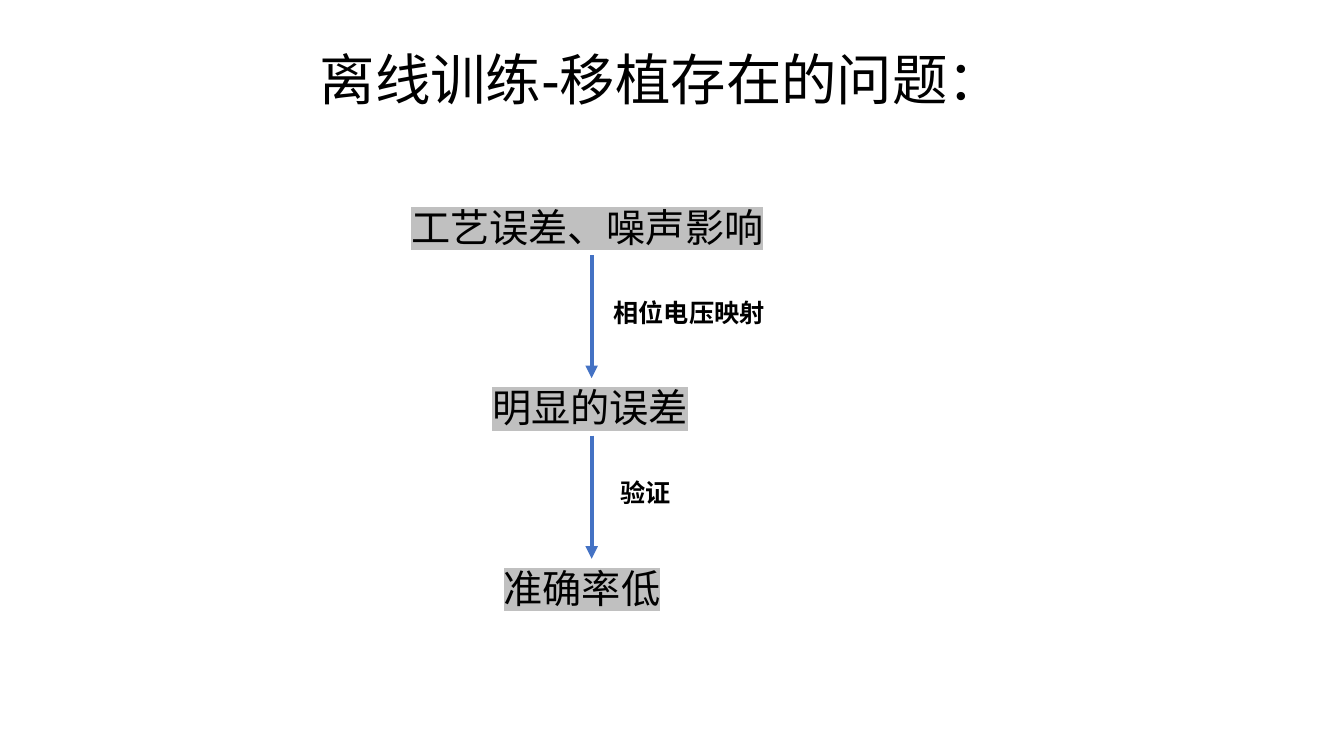
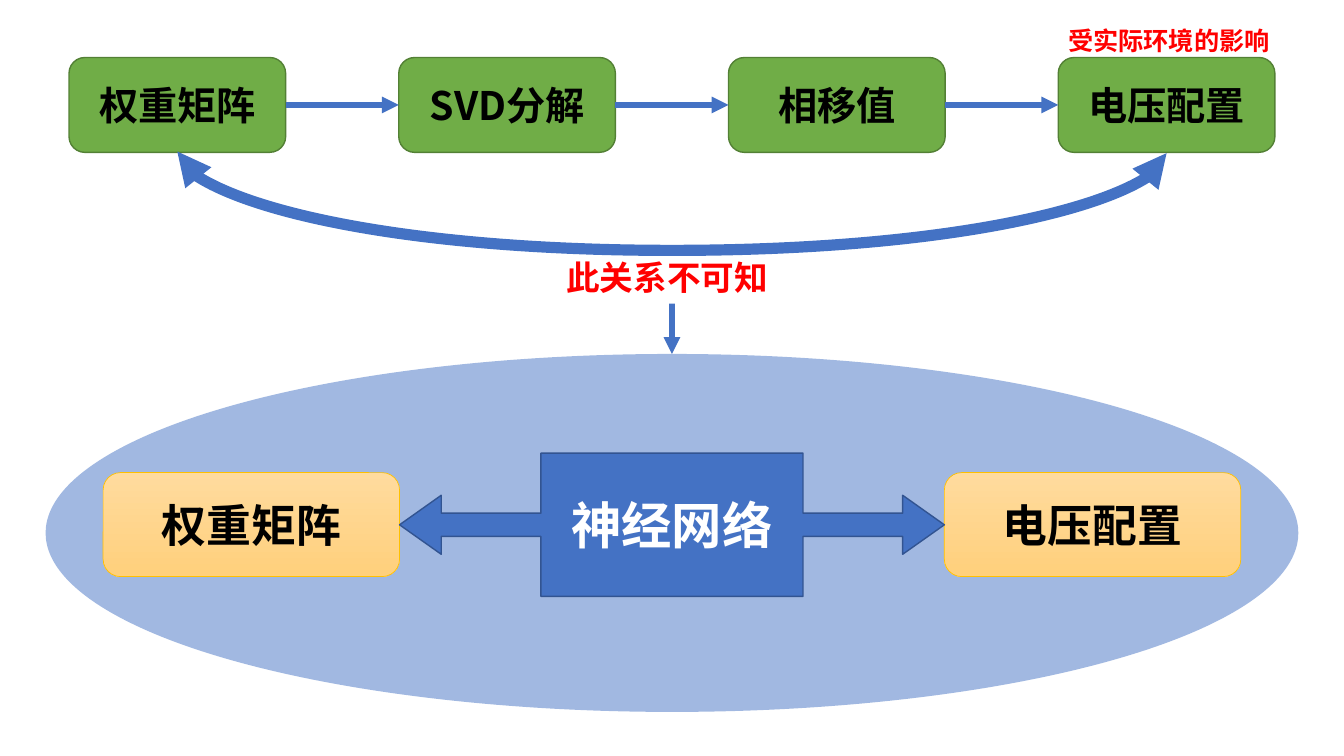
from lxml import etree
from pptx import Presentation
from pptx.dml.color import RGBColor
from pptx.enum.shapes import MSO_CONNECTOR, MSO_SHAPE
from pptx.enum.text import MSO_ANCHOR, MSO_AUTO_SIZE, PP_ALIGN
from pptx.oxml.ns import qn
from pptx.util import Cm, Pt

STRAIGHT, CURVE = MSO_CONNECTOR.STRAIGHT, MSO_CONNECTOR.CURVE
OVAL, ROUNDED = MSO_SHAPE.OVAL, MSO_SHAPE.ROUNDED_RECTANGLE
CALLOUT = MSO_SHAPE.LEFT_RIGHT_ARROW_CALLOUT
MIDDLE, NO_FIT = MSO_ANCHOR.MIDDLE, MSO_AUTO_SIZE.NONE
LEFT, CENTER = PP_ALIGN.LEFT, PP_ALIGN.CENTER
TOP_SIDE, LEFT_SIDE, BOTTOM_SIDE, RIGHT_SIDE = range(4)
TITLE_ONLY, BLANK = 5, 6

WIDTH, HEIGHT = 33.87, 19.05
COLORS = {
    "black": "000000", "white": "FFFFFF", "red": "FF0000", "gray": "C0C0C0",
    "blue": "4472C4", "blue_edge": "325491",
    "green": "70AD47", "green_edge": "538035",
    "orange_top": "FFDB9E", "orange_bottom": "FFD07C", "orange_edge": "FFC000",
}
PLAIN, HEAVY = "Arial", "Noto Sans CJK SC"


def color(name):
    """Return the named palette colour."""
    return RGBColor.from_string(COLORS[name])


def add_xml(parent, tag, **attributes):
    """Append a DrawingML element to its parent."""
    return etree.SubElement(parent, qn(tag), attributes)


def write(shape, text, size, ink="black", face=HEAVY, align=LEFT):
    """Put one styled, vertically centred line of text in a shape."""
    frame = shape.text_frame
    frame.word_wrap = True
    frame.auto_size = NO_FIT
    frame.vertical_anchor = MIDDLE
    para = frame.paragraphs[0]
    para.text = text
    para.alignment = align
    para.font.size = Pt(size)
    para.font.bold = face == HEAVY
    para.font.color.rgb = color(ink)
    para.font.name = face
    add_xml(para._p.pPr.defRPr, "a:ea", typeface=face)
    return para


def add_label(page, box, text, size, **style):
    """Add a text box and return it with its paragraph."""
    label = page.shapes.add_textbox(*map(Cm, box))
    return label, write(label, text, size, **style)


def add_block(page, kind, box, fill, edge=None, weight=1):
    """Add a flat shape with a solid fill or a gradient of two colours."""
    block = page.shapes.add_shape(kind, *map(Cm, box))
    block.shadow.inherit = False
    if isinstance(fill, tuple):
        block.fill.gradient()
        block.fill.gradient_angle = 270
        for stop, name in zip(block.fill.gradient_stops, fill):
            stop.color.rgb = color(name)
    else:
        block.fill.solid()
        block.fill.fore_color.rgb = color(fill)
    if edge:
        block.line.color.rgb = color(edge)
        block.line.width = Pt(weight)
    else:
        block.line.fill.background()
    return block


def add_arrow(page, kind, ends, weight, heads=("a:tailEnd",)):
    """Add a blue connector with triangular heads."""
    arrow = page.shapes.add_connector(kind, *map(Cm, ends))
    arrow.line.color.rgb = color("blue")
    arrow.line.width = Pt(weight)
    for head in heads:
        add_xml(arrow.line._get_or_add_ln(), head, type="triangle")
    add_xml(arrow._element.spPr, "a:effectLst")
    return arrow


def join(page, first, first_side, second, second_side, weight):
    """Join two shapes with a straight arrow."""
    arrow = add_arrow(page, STRAIGHT, (0, 0, 0, 0), weight)
    arrow.begin_connect(first, first_side)
    arrow.end_connect(second, second_side)


def add_title(page, box, text):
    """Move and fill the title placeholder."""
    title = page.shapes.title
    title.left, title.top, title.width, title.height = map(Cm, box)
    para = write(title, text, 39.6, face=PLAIN)
    para.line_spacing = 0.9


def add_steps(page, axis, top, pitch, steps, notes):
    """Stack highlighted steps on a vertical axis, with notes beside the arrows."""
    height, previous = 1.45, None
    for row, (text, width) in enumerate(steps):
        box = (axis - width / 2, top + row * pitch, width, height)
        step, para = add_label(page, box, text, 28, face=PLAIN)
        highlight = add_xml(para.runs[0]._r.get_or_add_rPr(), "a:highlight")
        add_xml(highlight, "a:srgbClr", val=COLORS["gray"])
        if previous is not None:
            join(page, previous, BOTTOM_SIDE, step, TOP_SIDE, 3)
        previous = step
    for row, (text, indent) in enumerate(notes):
        note_top = top + row * pitch + height + 0.93
        add_label(page, (axis + indent, note_top, 4.6, 1.02), text, 18)


def add_flow(page, box, names, block_width):
    """Spread green blocks evenly over a row and chain them with arrows."""
    left, top, width, height = box
    pitch = (width - block_width) / (len(names) - 1)
    previous = None
    for column, name in enumerate(names):
        block_box = (left + column * pitch, top, block_width, height)
        block = add_block(page, ROUNDED, block_box, "green", "green_edge")
        write(block, name, 28, align=CENTER)
        if previous is not None:
            join(page, previous, RIGHT_SIDE, block, LEFT_SIDE, 4)
        previous = block


def add_arc(page, left, right, top, depth):
    """Hang a double-headed curve between two points of one height."""
    span, rise = right - left, 0.04
    center = (left + right) / 2
    ends = (center - rise / 2, top - span / 2, center + rise / 2, top + span / 2)
    arc = add_arrow(page, CURVE, ends, 8, ("a:headEnd", "a:tailEnd"))
    properties = arc._element.spPr
    properties.xfrm.set("rot", str(270 * 60000))
    properties.xfrm.set("flipH", "1")
    guides = properties.prstGeom.get_or_add_avLst()
    add_xml(guides, "a:gd", name="adj1", fmla=f"val {round(depth / rise * 100000)}")


def add_network(page, box):
    """Draw the oval with the network between its two ends; return the oval."""
    left, top, width, height = box
    oval = add_block(page, OVAL, box, "blue")
    add_xml(oval.fill._xPr.find(".//" + qn("a:srgbClr")), "a:alpha", val="50000")
    margin, block_width, block_height = 1.45, 7.47, 2.62
    block_top = top + 2.99
    far_left = left + width - margin - block_width
    for block_left, name in ((left + margin, "权重矩阵"), (far_left, "电压配置")):
        block = add_block(page, ROUNDED, (block_left, block_top, block_width, block_height),
                          ("orange_top", "orange_bottom"), "orange_edge", 0.5)
        write(block, name, 32, align=CENTER)
    inner = left + margin + block_width
    callout_box = (inner, block_top - 0.49, far_left - inner, 3.61)
    callout = add_block(page, CALLOUT, callout_box, "blue", "blue_edge")
    for index, value in enumerate((0.162, 0.206, 0.291, 0.481)):
        callout.adjustments[index] = value
    write(callout, "神经网络", 36, "white", align=CENTER)
    return oval


def build_problem_page(deck):
    """Build the page on the problems of offline training."""
    page = deck.slides.add_slide(deck.slide_layouts[TITLE_ONLY])
    add_title(page, (7.8, 1.19, 18.19, 1.78), "离线训练-移植存在的问题：")
    add_steps(page, 14.91, 4.98, 4.55,
              (("工艺误差、噪声影响", 9.6), ("明显的误差", 5.5), ("准确率低", 4.93)),
              (("相位电压映射", 0.3), ("验证", 0.48)))


def build_network_page(deck):
    """Build the page that replaces the unknown relation with a network."""
    page = deck.slides.add_slide(deck.slide_layouts[BLANK])
    left, top, block_width, block_height = 1.74, 1.45, 5.46, 2.39
    oval = add_network(page, (1.15, 8.92, WIDTH - 2 * 1.15, 9.02))
    add_flow(page, (left, top, WIDTH - 2 * left, block_height),
             ("权重矩阵", "SVD分解", "相移值", "电压配置"), block_width)
    edge = left + block_width / 2
    add_arc(page, edge, WIDTH - edge, top + block_height, 2.49)
    add_label(page, (26.67, 0.51, 6.02, 1.02), "受实际环境的影响", 18, ink="red")
    add_label(page, (14.02, 6.35, 5.82, 1.27), "此关系不可知", 24, ink="red")
    arrow = add_arrow(page, STRAIGHT, (WIDTH / 2, 7.65, WIDTH / 2, 8.92), 4)
    arrow.end_connect(oval, TOP_SIDE)


def main():
    """Build and save the deck."""
    deck = Presentation()
    deck.slide_width, deck.slide_height = Cm(WIDTH), Cm(HEIGHT)
    build_problem_page(deck)
    build_network_page(deck)
    deck.save("out.pptx")


if __name__ == "__main__":
    main()
